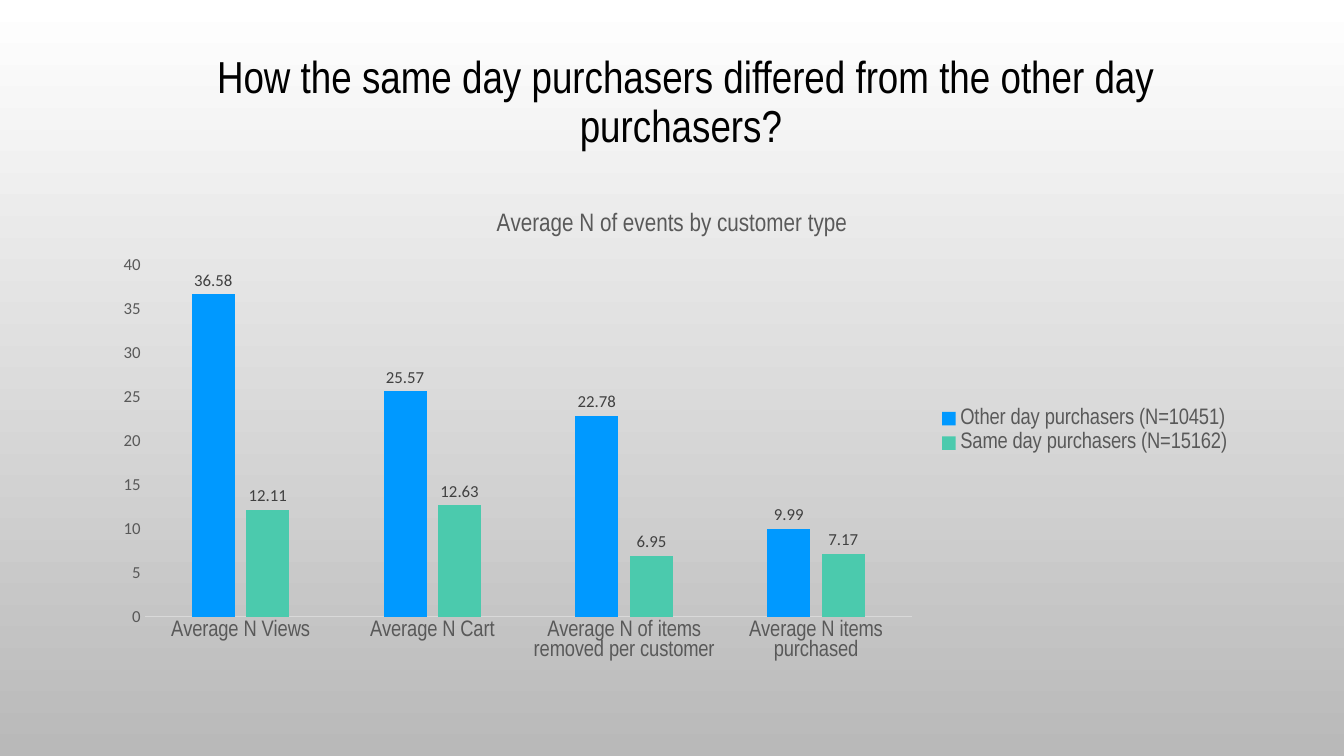
from dataclasses import dataclass

from pptx import Presentation
from pptx import util as u
from pptx.chart.data import CategoryChartData
from pptx.dml.color import RGBColor
from pptx.enum import chart as charts, text


@dataclass(frozen=True)
class Theme:
    heading_font: str = "Arial Narrow"
    number_font: str = "Calibri"
    black: str = "000000"
    grey: str = "595959"
    label_grey: str = "404040"
    axis_line: str = "D9D9D9"
    background: tuple = ("FFFFFF", "B9B9B9")
    series: tuple = ("0099FF", "4BCAAD")
    title_size: int = 32
    chart_title_size: int = 18
    category_size: int = 16
    number_size: int = 12
    base_size: int = 10


THEME = Theme()
WIDTH, HEIGHT = u.Inches(13.33), u.Inches(7.5)
TITLE_BOX = tuple(u.Inches(n) for n in (1.14, 0.15, 11.33, 1.75))
CHART_BOX = tuple(u.Inches(n) for n in (1, 1.9, 11.33, 4.75))

CATEGORIES = (
    "Average N Views",
    "Average N Cart",
    "Average N of items removed per customer",
    "Average N items purchased",
)
PURCHASERS = {
    "Other day purchasers (N=10451)": (36.58, 25.57, 22.78, 9.99),
    "Same day purchasers (N=15162)": (12.11, 12.63, 6.95, 7.17),
}


def style_font(font, name, size, color):
    font.name = name
    font.size = u.Pt(size)
    font.bold = False
    font.color.rgb = RGBColor.from_string(color)


def paint_background(slide):
    fill = slide.background.fill
    fill.gradient()
    fill.gradient_angle = 270
    for stop, position, color in zip(fill.gradient_stops, (0, 1), THEME.background):
        stop.position = position
        stop.color.rgb = RGBColor.from_string(color)


def place_title(slide, box, wording):
    title = slide.shapes.title
    title.left, title.top, title.width, title.height = box
    frame = title.text_frame
    frame.text = wording
    frame.word_wrap = True
    frame.auto_size = text.MSO_AUTO_SIZE.NONE
    frame.vertical_anchor = text.MSO_ANCHOR.MIDDLE
    paragraph = frame.paragraphs[0]
    paragraph.alignment = text.PP_ALIGN.CENTER
    paragraph.line_spacing = 0.9
    style_font(paragraph.runs[0].font, THEME.heading_font, THEME.title_size, THEME.black)


def style_axes(chart):
    for axis in (chart.category_axis, chart.value_axis):
        axis.major_tick_mark = axis.minor_tick_mark = charts.XL_TICK_MARK.NONE
        axis.has_major_gridlines = False
    category_line = chart.category_axis.format.line
    category_line.color.rgb = RGBColor.from_string(THEME.axis_line)
    category_line.width = u.Pt(0.75)
    style_font(chart.category_axis.tick_labels.font,
               THEME.heading_font, THEME.category_size, THEME.grey)

    values = chart.value_axis
    values.minimum_scale, values.maximum_scale, values.major_unit = 0, 40, 5
    values.format.line.fill.background()
    style_font(values.tick_labels.font, THEME.number_font, THEME.number_size, THEME.grey)


def style_columns(plot):
    plot.gap_width = 219
    plot.overlap = -27
    plot.vary_by_categories = False
    for series, color in zip(plot.series, THEME.series):
        series.format.fill.solid()
        series.format.fill.fore_color.rgb = RGBColor.from_string(color)
        labels = series.data_labels
        labels.show_value = True
        labels.position = charts.XL_LABEL_POSITION.OUTSIDE_END
        style_font(labels.font, THEME.number_font, THEME.number_size, THEME.label_grey)


def place_chart(slide, box, heading):
    data = CategoryChartData()
    data.categories = CATEGORIES
    for name, averages in PURCHASERS.items():
        data.add_series(name, averages)
    chart = slide.shapes.add_chart(
        charts.XL_CHART_TYPE.COLUMN_CLUSTERED, *box, data).chart
    style_font(chart.font, THEME.number_font, THEME.base_size, THEME.black)

    chart.has_title = True
    chart.chart_title.include_in_layout = False
    frame = chart.chart_title.text_frame
    frame.text = heading
    style_font(frame.paragraphs[0].runs[0].font,
               THEME.heading_font, THEME.chart_title_size, THEME.grey)

    chart.has_legend = True
    chart.legend.position = charts.XL_LEGEND_POSITION.RIGHT
    chart.legend.include_in_layout = False
    style_font(chart.legend.font, THEME.heading_font, THEME.category_size, THEME.grey)

    style_axes(chart)
    style_columns(chart.plots[0])


def main():
    presentation = Presentation()
    presentation.slide_width, presentation.slide_height = WIDTH, HEIGHT
    title_only = presentation.slide_layouts.get_by_name("Title Only")
    slide = presentation.slides.add_slide(title_only)
    paint_background(slide)
    place_title(slide, TITLE_BOX,
                "How the same day purchasers differed from the other day purchasers? ")
    place_chart(slide, CHART_BOX, "Average N of events by customer type")
    presentation.save("out.pptx")


if __name__ == "__main__":
    main()
